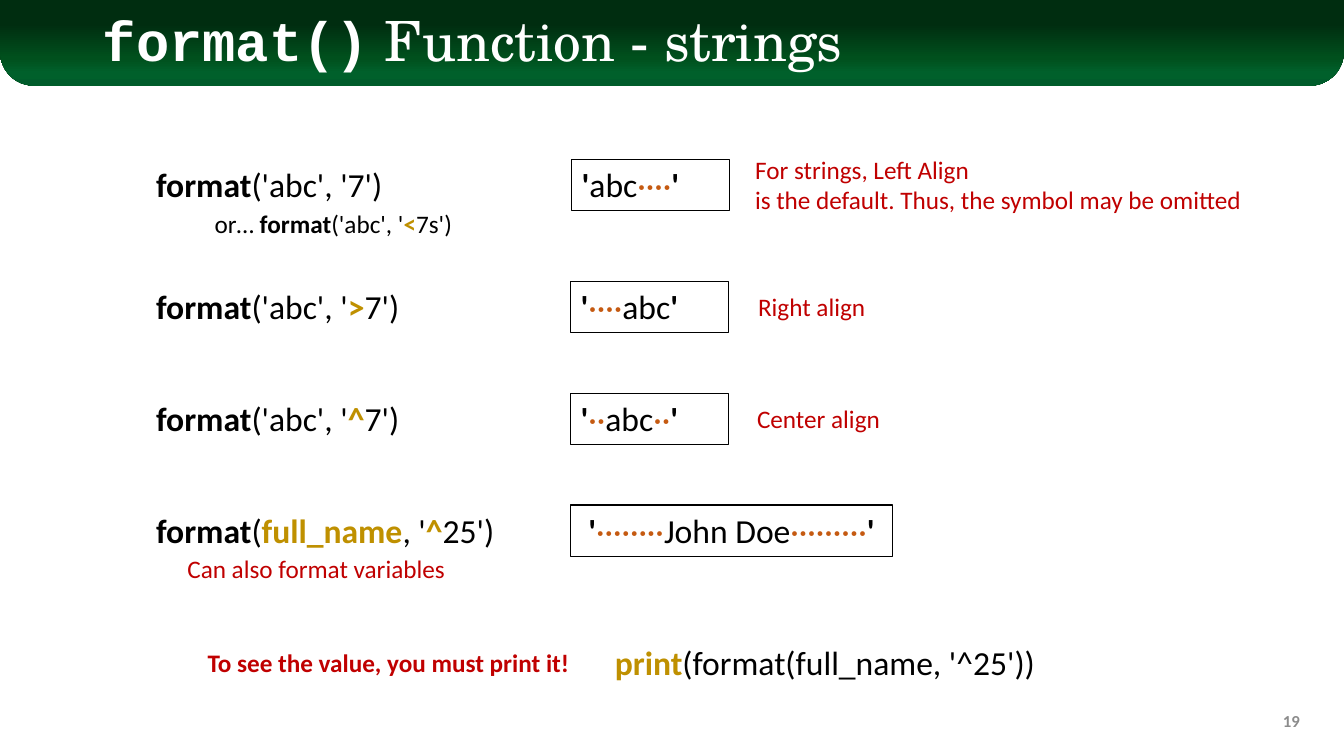
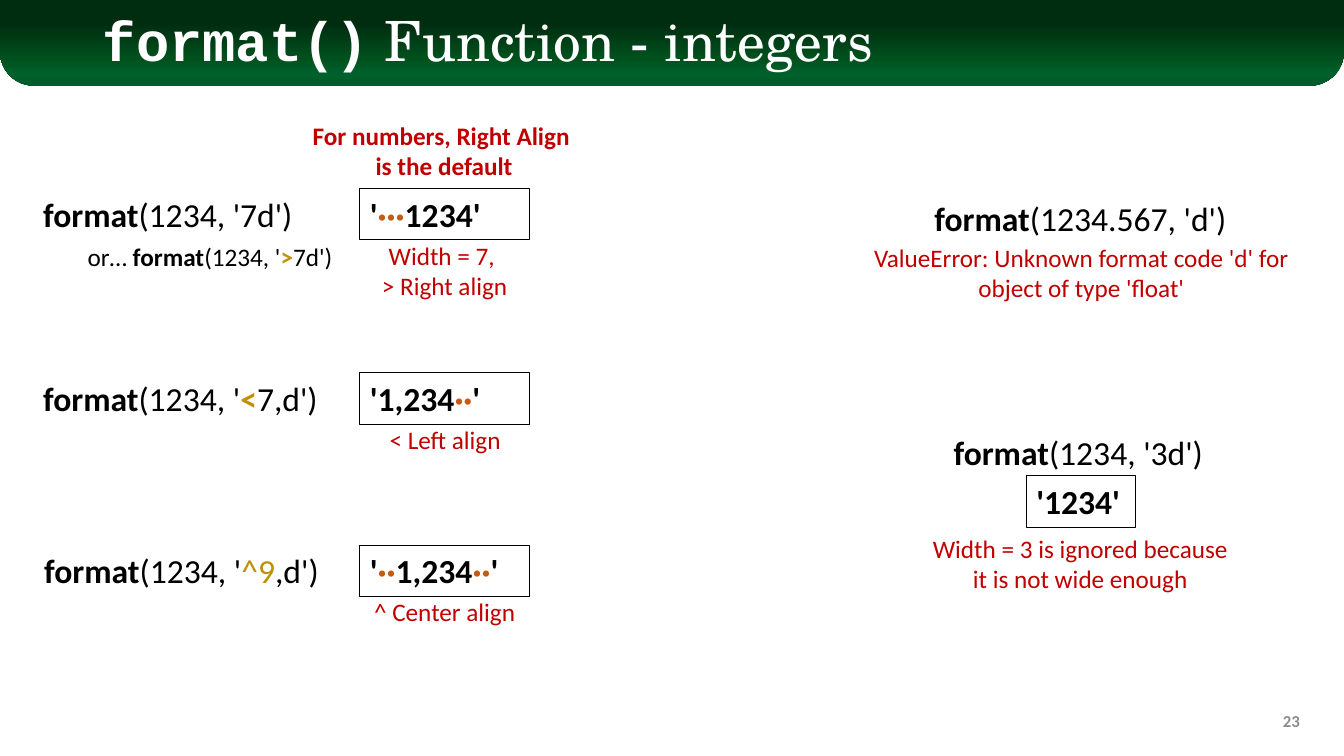
from collections import namedtuple
from lxml.etree import SubElement
from pptx import Presentation
from pptx.dml.color import RGBColor
from pptx.enum.shapes import MSO_SHAPE
from pptx.enum.text import MSO_ANCHOR, MSO_AUTO_SIZE, PP_ALIGN
from pptx.oxml.ns import qn
from pptx.util import Inches, Pt

BLACK, WHITE, RED, GOLD, ORANGE, GRAY = (
    "000000", "FFFFFF", "C00000", "BF9000", "C55A11", "8C8C8C")
BAND_STOPS = [(28, "002D10"), (68, "00501D"), (85, "00602B"), (100, "005C2B")]
BODY_FONT, CODE_FONT, TITLE_FONT = "Calibri", "Courier New", "TeX Gyre Schola"

Span = namedtuple("Span", "text bold color", defaults=(None, None))


def rgb(value):
    """Turn a hex string into a colour."""
    return RGBColor.from_string(value)


def bold(text):
    """Make a bold span."""
    return Span(text, True)


def gold(text, heavy=True):
    """Make a highlighted span."""
    return Span(text, heavy, GOLD)


def dots(count):
    """Make the dots that stand for padding."""
    return Span("\u0387" * count, None, ORANGE)


def call(*parts):
    """Make the spans of a format call."""
    return [bold("format"), *parts]


def place(box, left, top, width, height):
    """Set position and size in inches."""
    box.left, box.top = Inches(left), Inches(top)
    box.width, box.height = Inches(width), Inches(height)


def style_font(font, name, size, color, heavy):
    """Set the format of a font."""
    font.name, font.size, font.bold = name, Pt(size), heavy
    font.color.rgb = rgb(color)


def add_text(page, spot, *lines, size=24, color=BLACK, heavy=False,
             align=PP_ALIGN.LEFT, anchor=MSO_ANCHOR.TOP, wrap=True,
             outline=False):
    """Add a text box with one paragraph for each line of spans."""
    box = page.shapes.add_textbox(*map(Inches, spot))
    if outline:
        box.line.color.rgb = rgb(BLACK)
        box.line.width = Pt(0.75)
    frame = box.text_frame
    frame.word_wrap, frame.vertical_anchor = wrap, anchor
    for index, line in enumerate(lines):
        para = frame.add_paragraph() if index else frame.paragraphs[0]
        para.alignment = align
        for part in [line] if isinstance(line, str) else line:
            span = Span(part) if isinstance(part, str) else part
            run = para.add_run()
            run.text = span.text
            style_font(run.font, BODY_FONT, size, span.color or color,
                       heavy if span.bold is None else span.bold)
    return box


def add_note(page, spot, *lines, wrap=False, **style):
    """Add a red remark."""
    add_text(page, spot, *lines, size=18, color=RED, wrap=wrap, **style)


def add_result(page, left, top, width, *spans, **style):
    """Add an outlined box with the value of a call."""
    add_text(page, (left, top, width, 0.51), spans, outline=True, **style)


def add_band(page, layout, deck):
    """Put the green band behind the title on the layout."""
    band = page.shapes.add_shape(MSO_SHAPE.ROUND_2_SAME_RECTANGLE, 0, 0,
                                 deck.slide_width, Inches(0.85))
    band.adjustments[0], band.adjustments[1] = 0, 0.4
    band.shadow.inherit = False
    band.line.fill.background()
    band.fill.gradient()
    band.fill.gradient_angle = 270
    stops = band.element.spPr.find(qn("a:gradFill")).find(qn("a:gsLst"))
    for stop in list(stops):
        stops.remove(stop)
    for percent, color in BAND_STOPS:
        stop = SubElement(stops, qn("a:gs"), pos=str(percent * 1000))
        SubElement(stop, qn("a:srgbClr"), val=color)
    layout.shapes.element.insert(2, band.element)


def add_page(deck, layout, topic, number):
    """Add a slide with its title and number."""
    page = deck.slides.add_slide(layout)
    title = page.shapes.title
    place(title, 0.92, 0.13, 11.5, 0.61)
    frame = title.text_frame
    frame.auto_size, frame.vertical_anchor = MSO_AUTO_SIZE.NONE, MSO_ANCHOR.MIDDLE
    para = frame.paragraphs[0]
    para.alignment, para.line_spacing = PP_ALIGN.LEFT, 0.9
    for text, name, heavy in (("format()", CODE_FONT, True),
                              (f" Function - {topic}", TITLE_FONT, False)):
        run = para.add_run()
        run.text = text
        style_font(run.font, name, 39.6, WHITE, heavy)
    add_text(page, (9.99, 6.95, 3, 0.4), str(number), size=12, color=GRAY,
             heavy=True, align=PP_ALIGN.RIGHT, anchor=MSO_ANCHOR.MIDDLE)
    return page


def fill_strings(page):
    """Show how strings are aligned."""
    quote = bold("'")
    rows = [
        (1.58, call("('abc', '7')"), 5.67, 1.57, [quote, "abc", dots(4), quote]),
        (2.79, call("('abc', '", gold(">"), "7')"), 5.66, 1.57,
         [quote, dots(4), "abc", quote]),
        (3.9, call("('abc', '", gold("^"), "7')"), 5.66, 1.57,
         [quote, dots(2), "abc", dots(2), quote]),
        (5.01, call("(", gold("full_name"), ", '", gold("^"), "25')"), 5.66, 3.19,
         [quote, dots(8), "John Doe", dots(9), quote]),
    ]
    for top, spans, left, width, result in rows:
        add_text(page, (1.45, top, 4.2, 0.5), spans)
        add_result(page, left, top, width, *result,
                   align=PP_ALIGN.CENTER if width > 3 else PP_ALIGN.LEFT)
    add_text(page, (2.03, 2.02, 2.97, 0.4),
             ["or… ", *call("('abc', '", gold("<"), "7s')")], size=18)
    add_note(page, (7.39, 1.48, 5.09, 0.71), "For strings, Left Align ",
             "is the default. Thus, the symbol may be omitted")
    add_note(page, (7.42, 2.84, 1.3, 0.4), "Right align")
    add_note(page, (7.41, 3.95, 1.45, 0.4), "Center align")
    add_note(page, (1.76, 5.44, 2.79, 0.4), "Can also format variables")
    add_note(page, (1.96, 6.37, 3.82, 0.4),
             "To see the value, you must print it!", heavy=True)
    add_text(page, (6, 6.32, 4.66, 0.5),
             [gold("print"), "(format(full_name, '^25'))"])


def fill_integers(page):
    """Show how integers are aligned."""
    center = PP_ALIGN.CENTER
    rows = [
        (0.33, 1.87, call("(1234, '7d')"), ["'", dots(3), "1234'"]),
        (0.33, 3.7, call("(1234, '", gold("<"), "7,d')"),
         ["'1,234", dots(2), "'"]),
        (0.34, 5.41, call("(1234, '", gold("^9", False), ",d')"),
         ["'", dots(2), "1,234", dots(2), "'"]),
    ]
    for left, top, spans, result in rows:
        add_text(page, (left, top, 3.2, 0.5), spans)
        add_result(page, 3.57, top, 1.68, *result, heavy=True)
    add_text(page, (0.77, 2.34, 3.43, 0.4),
             ["or… ", *call("(1234, '", gold(">"), "7d')")], size=18)
    add_note(page, (2.99, 1.14, 2.83, 0.71), "For numbers, Right Align ",
             "is the default", heavy=True, align=center)
    add_note(page, (3.68, 2.33, 1.46, 0.71), "Width = 7, ", "> Right align",
             align=center)
    add_note(page, (3.75, 4.16, 1.33, 0.4), "< Left align", align=center)
    add_note(page, (3.6, 5.87, 1.62, 0.4), "^ Center align", align=center)
    add_text(page, (9.17, 1.91, 3.1, 0.5), call("(1234.567, 'd')"))
    add_note(page, (8.52, 2.35, 4.41, 0.71),
             "ValueError: Unknown format code 'd' for object of type 'float'",
             wrap=True, align=center)
    add_text(page, (9.36, 4.24, 2.71, 0.5), call("(1234, '3d')"))
    add_result(page, 10.18, 4.72, 1.08, "'1234'", heavy=True)
    add_note(page, (9.08, 5.24, 3.27, 0.71),
             "Width = 3 is ignored because it is not wide enough",
             wrap=True, align=center)


def main():
    """Build and save the deck."""
    deck = Presentation()
    deck.slide_width, deck.slide_height = Inches(13.33), Inches(7.5)
    layout = deck.slide_layouts[5]
    strings = add_page(deck, layout, "strings", 19)
    add_band(strings, layout, deck)
    fill_strings(strings)
    fill_integers(add_page(deck, layout, "integers", 23))
    deck.save("out.pptx")


main()
